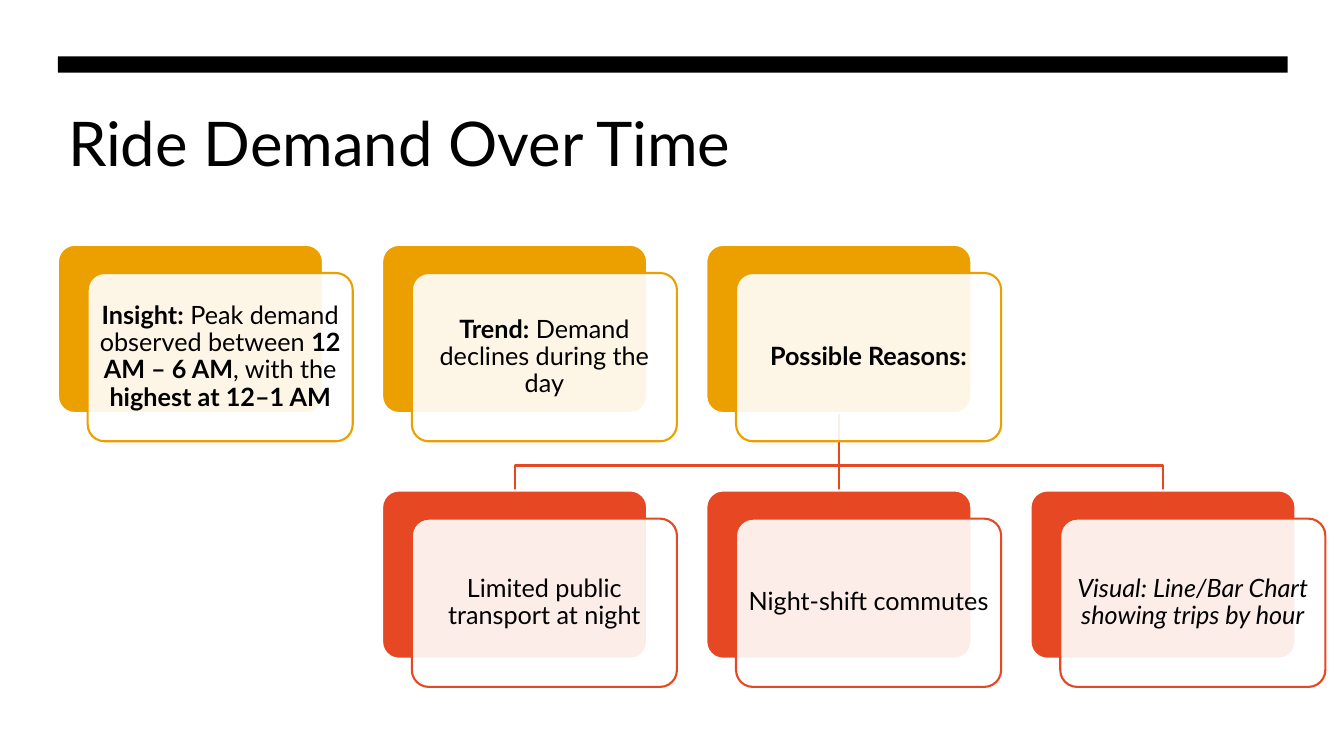
from lxml.etree import SubElement
from pptx import Presentation
from pptx.dml.color import RGBColor
from pptx.enum.shapes import MSO_CONNECTOR as Link, MSO_SHAPE as Shape
from pptx.enum.text import MSO_ANCHOR as Anchor, PP_ALIGN as Align
from pptx.oxml.ns import qn
from pptx.util import Cm, Pt

BLACK = RGBColor(0x00, 0x00, 0x00)
WHITE = RGBColor(0xFF, 0xFF, 0xFF)
GOLD = RGBColor(0xEB, 0xA0, 0x00)
RED = RGBColor(0xE6, 0x48, 0x23)

TITLE = "Ride Demand Over Time"
BOLD, ITALIC, PLAIN = {"bold": True}, {"italic": True}, {}

# (row, column, colour, runs)
CARDS = [
    (0, 0, GOLD, [("Insight:", BOLD), (" Peak demand observed between ", PLAIN),
                  ("12 AM – 6 AM", BOLD), (", with the ", PLAIN),
                  ("highest at 12–1 AM", BOLD)]),
    (0, 1, GOLD, [("Trend:", BOLD), (" Demand declines during the day", PLAIN)]),
    (0, 2, GOLD, [("Possible Reasons:", BOLD)]),
    (1, 1, RED, [("Limited public transport at night", PLAIN)]),
    (1, 2, RED, [("Night-shift commutes", PLAIN)]),
    (1, 3, RED, [("Visual: Line/Bar Chart showing trips by hour", ITALIC)]),
]
PARENT, CHILD = (0, 2), (1, 2)
SIDES = (3, 1)

LEFT, TOP = 1.46, 6.17
WIDE, HIGH = 6.68, 4.24
STEP_X, STEP_Y = 8.17, 6.19
SHIFT_X, SHIFT_Y = 0.75, 0.71
BEND = 11.73

deck = Presentation()
deck.slide_width, deck.slide_height = Cm(33.87), Cm(19.05)
slide = deck.slides.add_slide(deck.layouts[5] if hasattr(deck, "layouts")
                              else deck.slide_layouts[5])
shapes = slide.shapes


def style(item, fill, line):
    item.shadow.inherit = False
    item.fill.solid()
    item.fill.fore_color.rgb = fill
    if line is None:
        item.line.fill.background()
    else:
        item.line.color.rgb = line
        item.line.width = Pt(1.5)


def write(para, runs, size):
    for text, looks in runs:
        run = para.add_run()
        run.text = text
        form = {"name": "Lato", "size": Pt(size), **looks}
        for key, value in form.items():
            setattr(run.font, key, value)
        run.font.color.rgb = BLACK


def panel(x, y, fill, line):
    item = shapes.add_shape(Shape.ROUNDED_RECTANGLE,
                            Cm(x), Cm(y), Cm(WIDE), Cm(HIGH))
    item.adjustments[0] = 0.1
    style(item, fill, line)
    return item


def card(row, col, color, runs):
    """Draw a coloured panel with a translucent text panel; return the back one."""
    x, y = LEFT + col * STEP_X, TOP + row * STEP_Y
    back = panel(x, y, color, WHITE)
    front = panel(x + SHIFT_X, y + SHIFT_Y, WHITE, color)
    tint = front.fill._xPr.find(qn("a:solidFill"))[0]
    SubElement(tint, qn("a:alpha"), val="90000")
    frame = front.text_frame
    form = {"word_wrap": True, "vertical_anchor": Anchor.MIDDLE}
    form.update({f"margin_{side}": Cm(0.18)
                 for side in ("left", "right", "top", "bottom")})
    for key, value in form.items():
        setattr(frame, key, value)
    para = frame.paragraphs[0]
    para.alignment, para.line_spacing = Align.CENTER, 0.9
    write(para, runs, 18)
    return back


def middle(col):
    return LEFT + col * STEP_X + WIDE / 2


def elbow(col):
    """Draw a bent line from the parent card down to the card in a column."""
    start, end = middle(PARENT[1]), middle(col)
    pen = shapes.build_freeform(Cm(start), Cm(TOP + HIGH), scale=1.0)
    pen.add_line_segments([(Cm(start), Cm(BEND)), (Cm(end), Cm(BEND)),
                           (Cm(end), Cm(TOP + STEP_Y))], close=False)
    bent = pen.convert_to_shape()
    style(bent, WHITE, RED)
    bent.fill.background()


title = shapes.title
title.left, title.top, title.width, title.height = (
    Cm(v) for v in (1.46, 2.72, 30.99, 4.06))
title.text_frame.word_wrap = True
title.text_frame.vertical_anchor = Anchor.TOP
head = title.text_frame.paragraphs[0]
head.alignment, head.line_spacing = Align.LEFT, 0.9
write(head, [(TITLE, PLAIN)], 44)

bar = shapes.add_shape(Shape.RECTANGLE, Cm(1.46), Cm(1.42), Cm(30.99), Cm(0.41))
style(bar, BLACK, None)

for col in SIDES:
    elbow(col)
stem = shapes.add_connector(Link.STRAIGHT, Cm(middle(2)), Cm(TOP + HIGH),
                            Cm(middle(2)), Cm(TOP + STEP_Y))
stem.line.color.rgb, stem.line.width = RED, Pt(1.5)
SubElement(stem._element.spPr, qn("a:effectLst"))

backs = {(row, col): card(row, col, color, runs)
         for row, col, color, runs in CARDS}
stem.begin_connect(backs[PARENT], 2)
stem.end_connect(backs[CHILD], 0)

deck.save("out.pptx")
